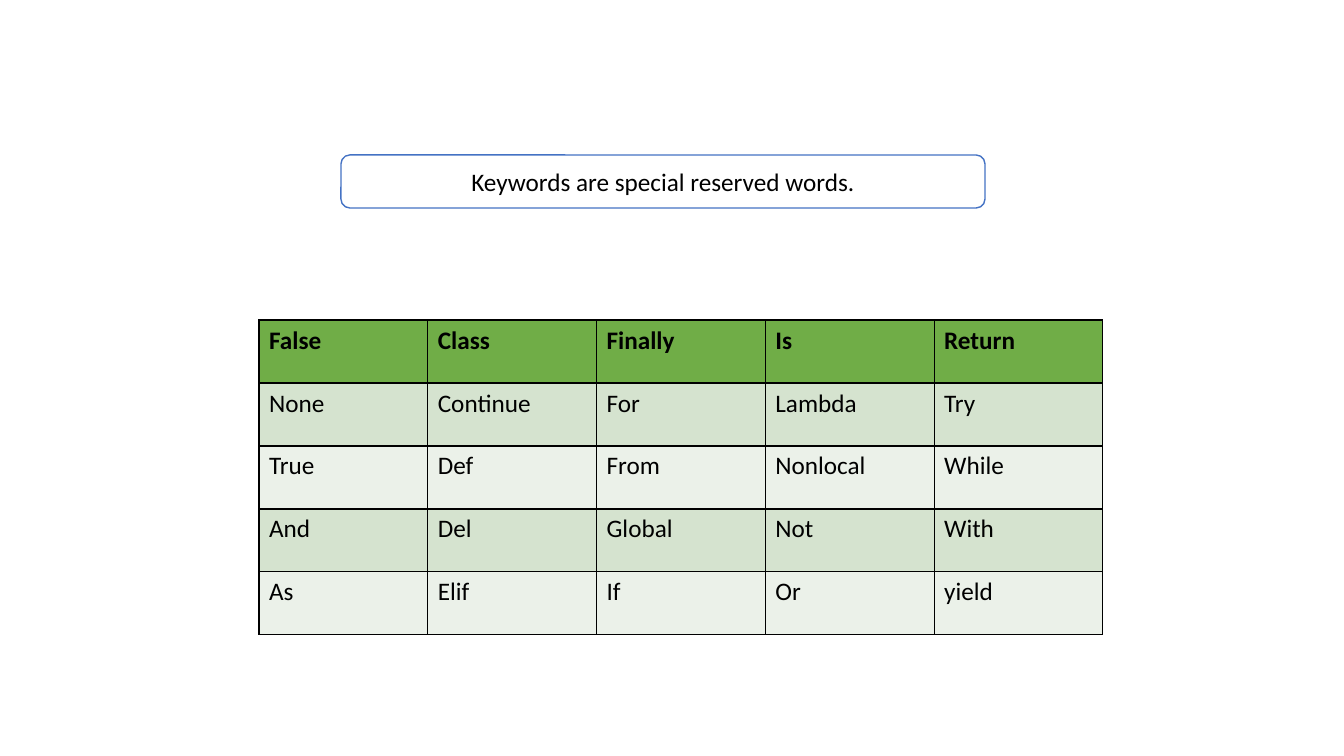
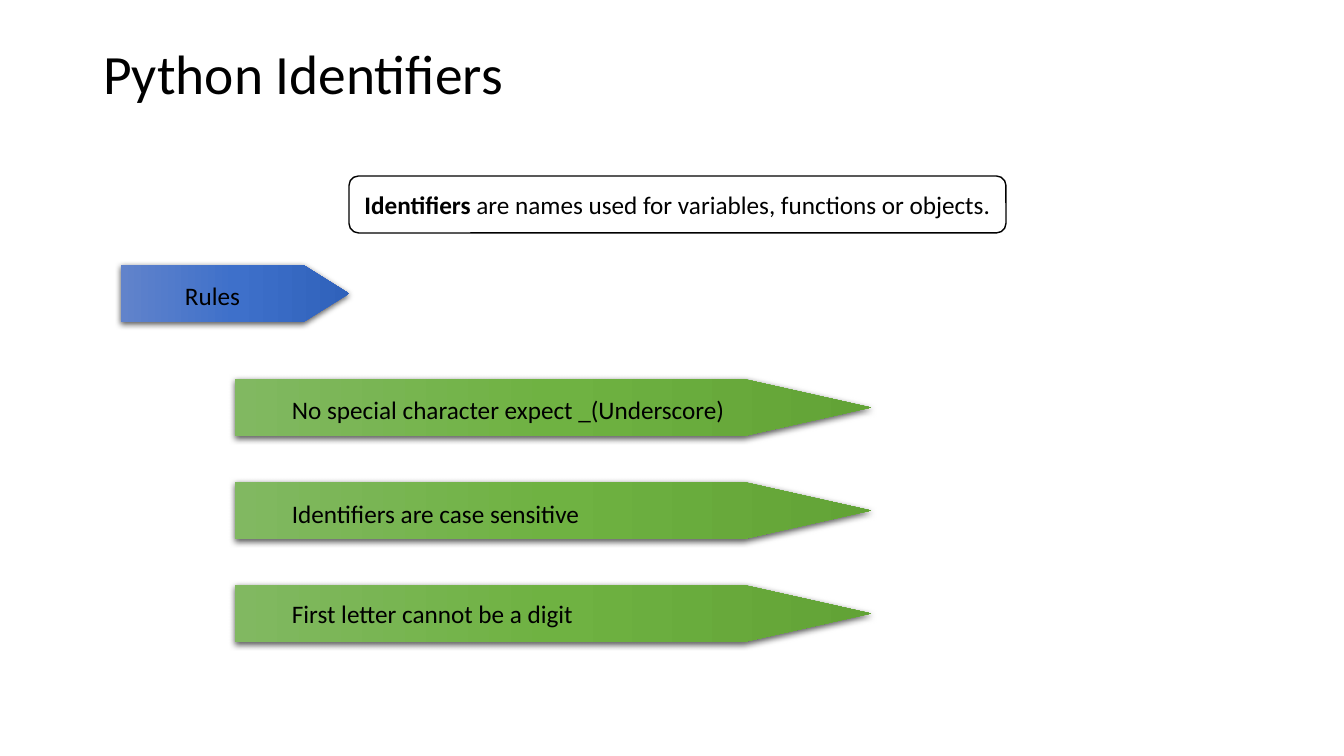
from collections import namedtuple
from dataclasses import dataclass

from lxml import etree
from pptx import Presentation
from pptx.dml.color import RGBColor
from pptx.enum.shapes import MSO_SHAPE
from pptx.enum.text import MSO_ANCHOR, MSO_AUTO_SIZE, PP_ALIGN
from pptx.oxml import parse_xml
from pptx.oxml.ns import nsdecls, qn
from pptx.util import Pt

ROUNDED = MSO_SHAPE.ROUNDED_RECTANGLE
PENTAGON = MSO_SHAPE.FLOWCHART_OFFPAGE_CONNECTOR
MIDDLE = MSO_ANCHOR.MIDDLE
FIXED_SIZE = MSO_AUTO_SIZE.NONE
LEFT, CENTER = PP_ALIGN.LEFT, PP_ALIGN.CENTER

SLIDE_WIDTH, SLIDE_HEIGHT = 1344, 756
EMU_PER_PX = 914400 / 100.8
TITLE_ONLY, BLANK = 5, 6

Box = namedtuple("Box", "left top width height")


@dataclass(frozen=True)
class Theme:
    """Colours, font and type sizes shared by the slides."""

    font: str = "Calibri"
    title_size: float = 39.6
    body_size: int = 18
    line_width: int = 1
    black: str = "000000"
    white: str = "FFFFFF"
    blue: str = "4472C4"
    table_header: str = "70AD47"
    table_bands: tuple = ("D5E3CF", "EBF1E9")
    blue_gradient: tuple = ("6183CB", "3E70CA", "3062BB")
    green_gradient: tuple = ("81B861", "6FB242", "62A336")


THEME = Theme()

KEYWORDS = (
    ("False", "Class", "Finally", "Is", "Return"),
    ("None", "Continue", "For", "Lambda", "Try"),
    ("True", "Def", "From", "Nonlocal", "While"),
    ("And", "Del", "Global", "Not", "With"),
    ("As", "Elif", "If", "Or", "yield"),
)

RULES = (
    ("No special character expect _(Underscore)", 10),
    ("Identifiers are case sensitive", 11),
    ("First letter cannot be a digit", 8),
)


def px(length):
    """Turn pixels into EMU."""
    return round(length * EMU_PER_PX)


def emu(box):
    """Turn a pixel box into EMU lengths."""
    return [px(length) for length in box]


def write(frame, spans, size=THEME.body_size, align=LEFT):
    """Write (text, bold) spans as the only paragraph of a frame."""
    para = frame.paragraphs[0]
    para.alignment = align
    para.font.name = THEME.font
    para.font.size = Pt(size)
    para.font.color.rgb = RGBColor.from_string(THEME.black)
    for text, bold in spans:
        span = para.add_run()
        span.text = text
        span.font.bold = bold
    return para


def add_title(page, box, text):
    """Place and format the title placeholder."""
    title = page.shapes.title
    title.left, title.top, title.width, title.height = emu(box)
    frame = title.text_frame
    frame.word_wrap = True
    frame.auto_size = FIXED_SIZE
    frame.vertical_anchor = MIDDLE
    write(frame, [(text, False)], THEME.title_size).line_spacing = 0.9


def add_callout(page, box, spans, line_colour):
    """Draw a white rounded box with a centred statement."""
    callout = page.shapes.add_shape(ROUNDED, *emu(box))
    callout.shadow.inherit = False
    callout.fill.solid()
    callout.fill.fore_color.rgb = RGBColor.from_string(THEME.white)
    callout.line.color.rgb = RGBColor.from_string(line_colour)
    callout.line.width = Pt(THEME.line_width)
    callout.text_frame.word_wrap = True
    callout.text_frame.vertical_anchor = MIDDLE
    write(callout.text_frame, spans, align=CENTER)


def add_borders(cell):
    """Give a table cell a black line on every side."""
    properties = cell._tc.get_or_add_tcPr()
    for side in ("lnL", "lnR", "lnT", "lnB"):
        line = etree.SubElement(properties, qn(f"a:{side}"), w=str(Pt(THEME.line_width)))
        fill = etree.SubElement(line, qn("a:solidFill"))
        etree.SubElement(fill, qn("a:srgbClr"), val=THEME.black)


def add_keyword_table(page, box, rows):
    """Draw a bordered table with a header row and banded body rows."""
    table = page.shapes.add_table(len(rows), len(rows[0]), *emu(box)).table
    for row_index, words in enumerate(rows):
        header = row_index == 0
        colour = THEME.table_header if header else THEME.table_bands[(row_index - 1) % 2]
        for column_index, word in enumerate(words):
            cell = table.cell(row_index, column_index)
            add_borders(cell)
            cell.fill.solid()
            cell.fill.fore_color.rgb = RGBColor.from_string(colour)
            write(cell.text_frame, [(word, header)])


def add_gradient_and_shadow(shape, colours):
    """Give a shape a three-stop gradient and a soft drop shadow."""
    stops = "".join(
        f'<a:gs pos="{index * 50000}"><a:srgbClr val="{colour}"/></a:gs>'
        for index, colour in enumerate(colours)
    )
    gradient = (
        f'<a:gradFill {nsdecls("a")} rotWithShape="1"><a:gsLst>{stops}</a:gsLst>'
        '<a:lin ang="5400000" scaled="0"/></a:gradFill>'
    )
    shadow = (
        f'<a:effectLst {nsdecls("a")}><a:outerShdw blurRad="{Pt(4.5)}" dist="{Pt(1.5)}"'
        ' dir="5400000" algn="ctr" rotWithShape="0">'
        f'<a:srgbClr val="{THEME.black}"><a:alpha val="63000"/></a:srgbClr>'
        "</a:outerShdw></a:effectLst>"
    )
    properties = shape._element.spPr
    properties.find(qn("a:prstGeom")).addnext(parse_xml(gradient))
    shape.line.fill.background()
    properties.append(parse_xml(shadow))


def add_arrow(page, box, text, colours, indent, drop):
    """Draw a right-pointing arrow with its label inset by indent and drop."""
    upright = Box(
        box.left + (box.width - box.height) / 2,
        box.top + (box.height - box.width) / 2,
        box.height,
        box.width,
    )
    arrow = page.shapes.add_shape(PENTAGON, *emu(upright))
    arrow.rotation = 270
    add_gradient_and_shadow(arrow, colours)
    label_box = Box(box.left + indent, box.top + drop, box.width - indent, 40)
    label = page.shapes.add_textbox(*emu(label_box))
    label.text_frame.word_wrap = True
    write(label.text_frame, [(text, False)])


def add_rules(page, box, rules, pitch):
    """Stack one green arrow for each rule, starting at the given box."""
    for index, (text, drop) in enumerate(rules):
        arrow_box = box._replace(top=box.top + index * pitch)
        add_arrow(page, arrow_box, text, THEME.green_gradient, 47, drop)


def build_keywords(deck):
    """Build the slide listing the reserved words."""
    page = deck.slides.add_slide(deck.slide_layouts[BLANK])
    statement = [("Keywords are special reserved words.", False)]
    add_callout(page, Box(341, 155, 644, 53), statement, THEME.blue)
    add_keyword_table(page, Box(259, 320, 844, 315), KEYWORDS)


def build_identifiers(deck):
    """Build the slide on identifiers and their rules."""
    page = deck.slides.add_slide(deck.slide_layouts[TITLE_ONLY])
    add_title(page, Box(93, 40, 1018, 74), "Python Identifiers")
    statement = [
        ("Identifiers", True),
        (" are names used for variables, functions or objects.", False),
    ]
    add_callout(page, Box(349, 176, 657, 57), statement, THEME.black)
    add_arrow(page, Box(121, 265, 228, 57), "Rules", THEME.blue_gradient, 54, 10)
    add_rules(page, Box(235, 379, 636, 57), RULES, 103)


def main():
    """Build and save the deck."""
    deck = Presentation()
    deck.slide_width, deck.slide_height = px(SLIDE_WIDTH), px(SLIDE_HEIGHT)
    build_keywords(deck)
    build_identifiers(deck)
    deck.save("out.pptx")


if __name__ == "__main__":
    main()
